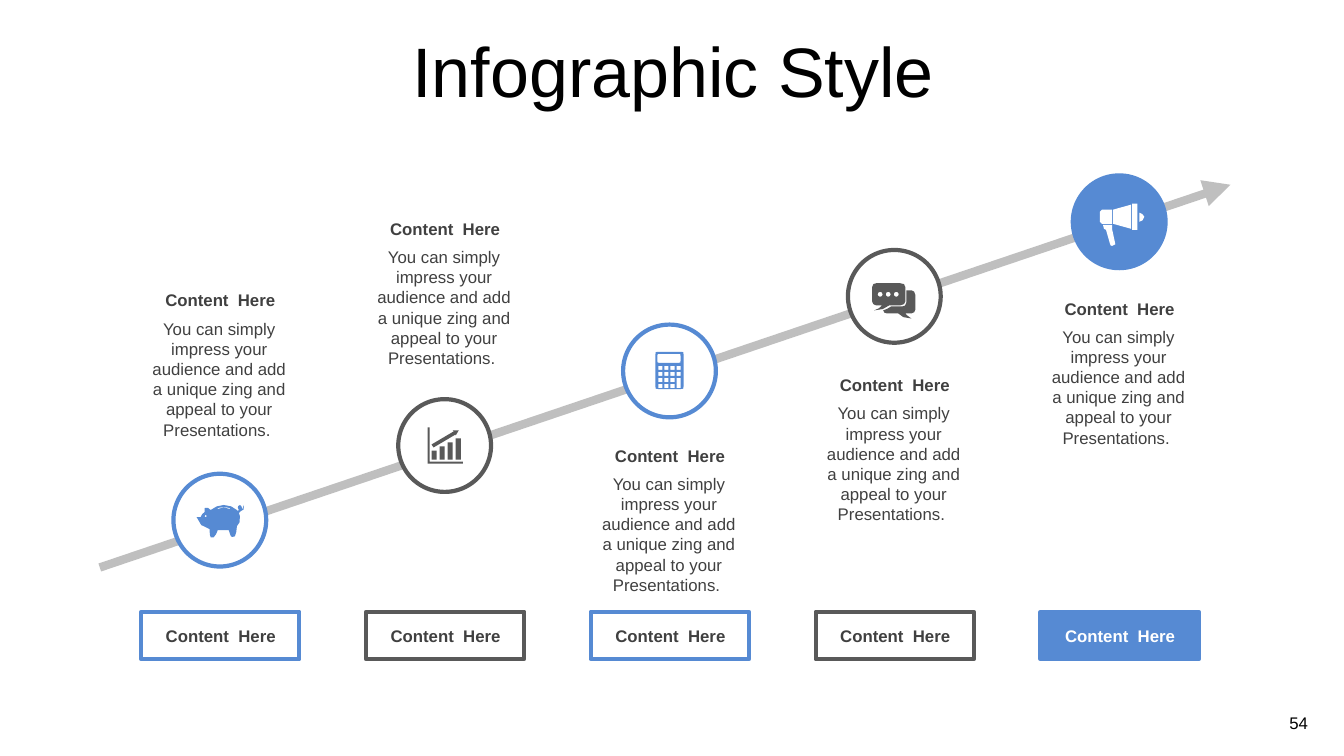
from lxml.etree import SubElement
from pptx import Presentation
from pptx.dml.color import RGBColor
from pptx.enum.shapes import MSO_CONNECTOR, MSO_SHAPE
from pptx.enum.text import MSO_ANCHOR, PP_ALIGN
from pptx.oxml.ns import qn
from pptx.util import Inches, Pt

COLORS = {
    "blue": "568AD3",
    "dark": "595959",
    "text": "404040",
    "gray": "BFBFBF",
    "white": "FFFFFF",
    "black": "000000",
}
LABEL = "Content  Here"
BODY = ("You can simply impress your audience and add a unique zing "
        "and appeal to your Presentations. ")


def color(name):
    return RGBColor.from_string(COLORS[name])


def box(x, y, w, h, r=0):
    a, b = x + w, y + h
    if not r:
        return [(x, y), (a, y), (a, b), (x, b)]
    return [
        (x + r, y), (a - r, y), (a, y, a, y, a, y + r),
        (a, b - r), (a, b, a, b, a - r, b),
        (x + r, b), (x, b, x, b, x, b - r),
        (x, y + r), (x, y, x, y, x + r, y),
    ]


def dot(x, y, r):
    k = r * 0.55
    return [
        (x - r, y),
        (x - r, y - k, x - k, y - r, x, y - r),
        (x + k, y - r, x + r, y - k, x + r, y),
        (x + r, y + k, x + k, y + r, x, y + r),
        (x - k, y + r, x - r, y + k, x - r, y),
    ]


def trace(steps, parts=2):
    spots = []
    for step in steps:
        if len(step) == 2:
            spots.append(step)
            continue
        ends = (spots[-1], step[:2], step[2:4], step[4:])
        for n in range(1, parts + 1):
            t = n / parts
            u = 1 - t
            bases = (u ** 3, 3 * u * u * t, 3 * u * t * t, t ** 3)
            spots.append(tuple(sum(b * p[axis] for b, p in zip(bases, ends))
                               for axis in (0, 1)))
    return [(Inches(x), Inches(y)) for x, y in spots]


class Deck:
    font = {"name": "Arial", "size": Pt(12), "bold": False}

    def __init__(self):
        self.show = Presentation()
        self.show.slide_width = Inches(13.33)
        self.show.slide_height = Inches(7.5)
        self.slide = self.show.slides.add_slide(self.show.slide_layouts[6])
        self.shapes = self.slide.shapes

    def paint(self, shape, fill, line=None):
        shape.shadow.inherit = False
        shape.fill.solid()
        shape.fill.fore_color.rgb = color(fill)
        if line:
            shape.line.color.rgb = color(line)
            shape.line.width = Pt(3)
        else:
            shape.line.fill.background()

    def shape(self, kind, place, fill, line=None, turn=0):
        shape = self.shapes.add_shape(kind, *map(Inches, place))
        shape.rotation = turn
        self.paint(shape, fill, line)

    def text(self, words, place, tint="text", frame=None, para=None, **font):
        body = self.shapes.add_textbox(*map(Inches, place)).text_frame
        line = body.paragraphs[0]
        run = line.add_run()
        run.text = words
        run.font.color.rgb = color(tint)
        formats = (
            (body, {"word_wrap": True} | (frame or {})),
            (line, {"alignment": PP_ALIGN.CENTER} | (para or {})),
            (run.font, self.font | font),
        )
        for target, values in formats:
            for name, value in values.items():
                setattr(target, name, value)

    def line(self, start, end, tint, width):
        line = self.shapes.add_connector(
            MSO_CONNECTOR.STRAIGHT, *map(Inches, start + end))
        line.line.color.rgb = color(tint)
        line.line.width = Pt(width)
        SubElement(line._element.spPr, qn("a:effectLst"))

    def icon(self, loops, fill):
        first, *rest = map(trace, loops)
        pen = self.shapes.build_freeform(*first[0], scale=1.0)
        pen.add_line_segments(first[1:], close=True)
        for spots in rest:
            pen.move_to(*spots[0])
            pen.add_line_segments(spots[1:], close=True)
        self.paint(pen.convert_to_shape(), fill)


CHART = [box(4.28 + 0.08 * n, 4.47 - 0.04 * n, 0.05, 0.09 + 0.04 * n)
         for n in range(4)] + [
    [(4.49, 4.27), (4.55, 4.27), (4.52, 4.32), (4.52, 4.31),
     (4.3, 4.44), (4.28, 4.41), (4.5, 4.28)],
    [(4.24, 4.24), (4.26, 4.24), (4.26, 4.58), (4.59, 4.58),
     (4.59, 4.6), (4.24, 4.6)],
]
KEYS = [box(6.53 + 0.06 * col, 3.63 + 0.06 * row, 0.04,
            0.1 if (col, row) == (3, 2) else 0.04)
        for row in range(4) for col in range(4) if (col, row) != (3, 3)]
COUNTER = [box(6.5, 3.49, 0.28, 0.37, 0.03),
           box(6.52, 3.51, 0.23, 0.09, 0.02)] + KEYS
CHAT = [dot(8.73 + 0.08 * n, 2.92, 0.025) for n in range(3)] + [
    [(8.99, 2.88), (9.04, 2.88), (9.06, 2.88, 9.08, 2.9, 9.08, 2.93),
     (9.08, 3.07), (9.08, 3.09, 9.06, 3.11, 9.04, 3.11), (8.98, 3.11),
     (8.99, 3.12, 8.99, 3.13, 9.04, 3.16),
     (8.96, 3.15, 8.95, 3.15, 8.91, 3.11), (8.8, 3.11),
     (8.78, 3.11, 8.76, 3.1, 8.76, 3.08),
     (8.79, 3.07, 8.81, 3.06, 8.84, 3.04), (8.95, 3.04),
     (8.97, 3.04, 8.99, 3.03, 8.99, 3)],
    [(8.69, 2.81), (8.93, 2.81), (8.96, 2.81, 8.98, 2.82, 8.98, 2.85),
     (8.98, 2.99), (8.98, 3.01, 8.96, 3.03, 8.93, 3.03), (8.82, 3.03),
     (8.77, 3.07, 8.75, 3.07, 8.67, 3.08),
     (8.72, 3.06, 8.72, 3.06, 8.75, 3.03), (8.69, 3.03),
     (8.67, 3.03, 8.65, 3.01, 8.65, 2.99), (8.65, 2.85),
     (8.65, 2.82, 8.67, 2.81, 8.69, 2.81)],
]
HORN = [
    [(11.03, 2.23), (11.03, 2.27), (11.06, 2.41),
     (11.07, 2.42, 11.06, 2.43, 11.05, 2.43), (11.03, 2.44),
     (11.02, 2.44, 11.01, 2.43, 11.01, 2.42), (10.97, 2.28),
     (10.95, 2.27), (10.94, 2.23)],
    [(11.3, 2.11), (11.32, 2.11, 11.34, 2.13, 11.35, 2.15),
     (11.35, 2.18, 11.32, 2.2, 11.3, 2.2)],
    [(10.93, 2.08), (11.03, 2.08), (11.03, 2.22), (10.93, 2.22),
     (10.91, 2.2), (10.91, 2.1)],
    [(11.22, 2.03), (11.22, 2.27), (11.04, 2.22), (11.04, 2.08)],
    box(11.23, 2.02, 0.05, 0.26),
]
PIG = [
    dot(2.04, 5.12, 0.01),
    [(2.22, 5.03), (2.16, 5.04), (2.16, 5.05),
     (2.2, 5.03, 2.24, 5.03, 2.28, 5.05), (2.28, 5.04)],
    [(2.22, 5.01), (2.27, 5.01, 2.32, 5.03, 2.35, 5.06), (2.36, 5.07),
     (2.37, 5.06), (2.36, 5.04), (2.36, 5.03, 2.36, 5.01, 2.38, 5.01),
     (2.39, 5.01, 2.4, 5.03, 2.4, 5.04), (2.4, 5.05),
     (2.4, 5.05, 2.41, 5.05, 2.42, 5.01),
     (2.43, 5.05, 2.41, 5.07, 2.39, 5.07), (2.37, 5.09), (2.38, 5.12),
     (2.39, 5.16, 2.37, 5.21, 2.35, 5.22),
     (2.35, 5.27, 2.34, 5.29, 2.33, 5.32),
     (2.32, 5.33, 2.29, 5.33, 2.29, 5.32), (2.27, 5.26), (2.16, 5.26),
     (2.15, 5.29, 2.14, 5.31, 2.12, 5.33), (2.09, 5.33),
     (2.08, 5.33, 2.08, 5.28, 2.08, 5.25),
     (2.04, 5.23, 1.94, 5.2, 1.95, 5.13), (1.99, 5.13),
     (2, 5.11, 2.01, 5.09, 2.03, 5.08), (2.03, 5.04),
     (2.06, 5.02, 2.07, 5.05, 2.09, 5.06),
     (2.12, 5.03, 2.18, 5.01, 2.22, 5.01)],
]
STEPS = [
    (2.83, "white", "blue", "text", PIG, "blue"),
    (2.12, "white", "dark", "text", CHART, "dark"),
    (4.37, "white", "blue", "text", COUNTER, "blue"),
    (3.67, "white", "dark", "text", CHAT, "dark"),
    (2.91, "blue", "blue", "white", HORN, "white"),
]


def main():
    deck = Deck()
    deck.text("54", (12.69, 7.02, 0.41, 0.3), "black",
              {"word_wrap": False}, {"alignment": PP_ALIGN.LEFT})
    deck.text("Infographic Style", (0.35, 0.37, 12.66, 0.79), "black",
              {"vertical_anchor": MSO_ANCHOR.MIDDLE,
               "margin_top": Inches(0.1)},
              {"line_spacing": 0.7}, size=Pt(50))
    deck.line((12.07, 1.88), (0.99, 5.63), "gray", 6)
    deck.shape(MSO_SHAPE.ISOSCELES_TRIANGLE, (11.94, 1.74, 0.27, 0.27),
               "gray", turn=72)
    for n, (top, fill, edge, ink, loops, tint) in enumerate(STEPS):
        x = 2.23 * n
        deck.shape(MSO_SHAPE.OVAL, (1.72 + x, 4.7 - 0.74 * n, 0.92, 0.92),
                   fill, edge)
        deck.shape(MSO_SHAPE.RECTANGLE, (1.4 + x, 6.07, 1.57, 0.47),
                   fill, edge)
        deck.text(LABEL, (1.46 + x, 6.16, 1.46, 0.3), ink, bold=True)
        deck.text(BODY, (1.39 + x, top + 0.28, 1.57, 1.31))
        deck.text(LABEL, (1.39 + x, top, 1.59, 0.3), bold=True)
        deck.icon(loops, tint)
    deck.show.save("out.pptx")


if __name__ == "__main__":
    main()
